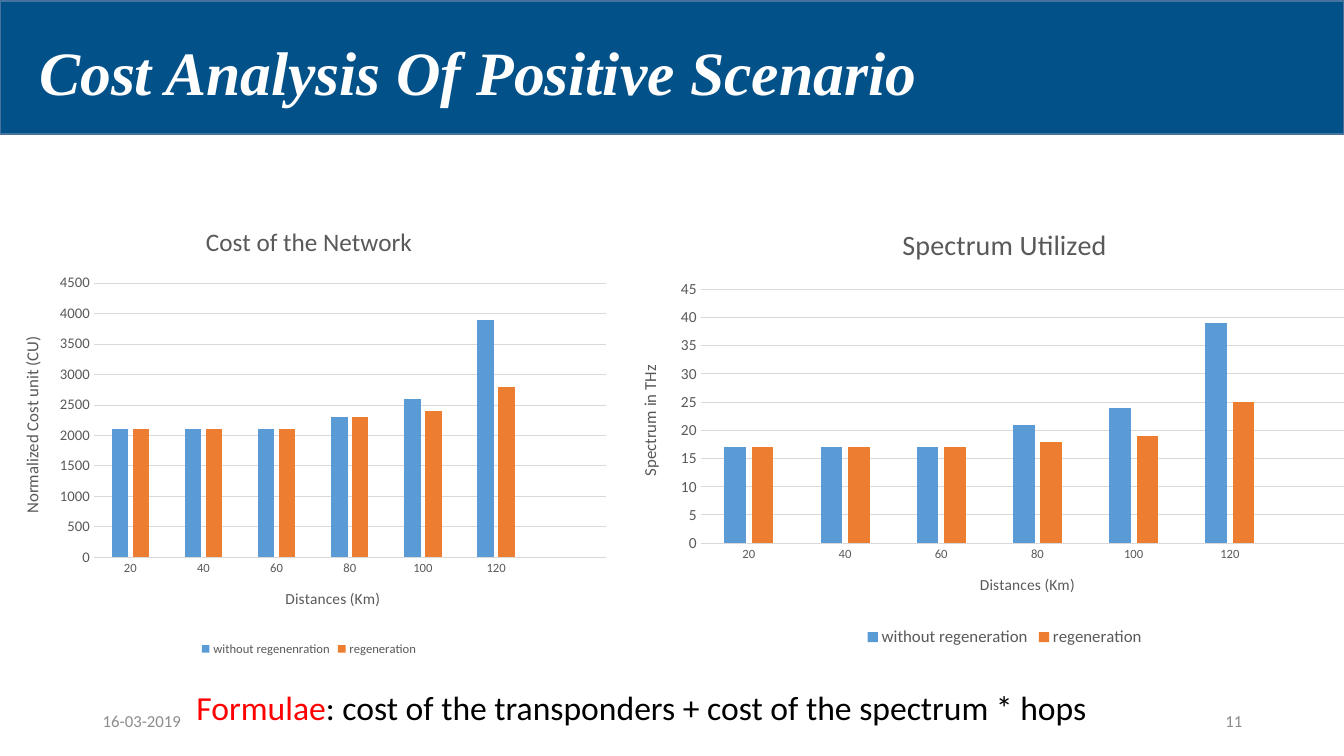
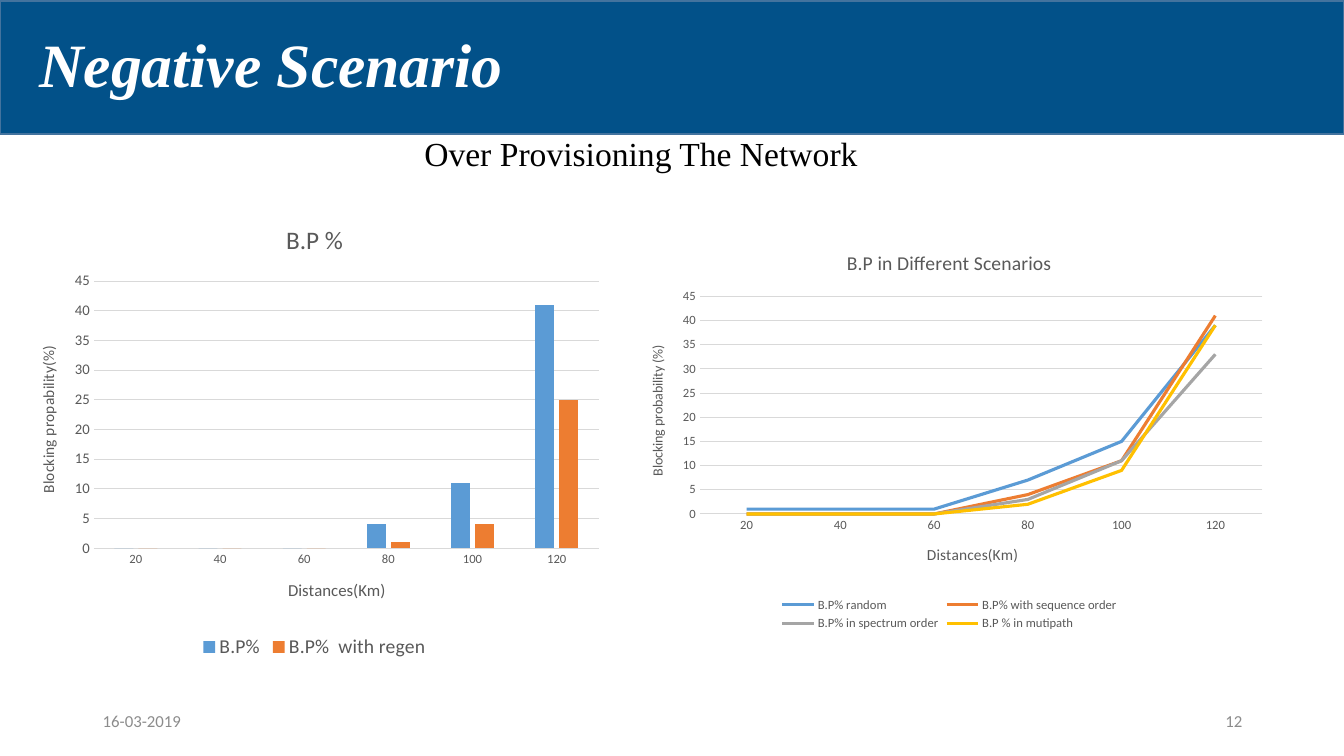
from dataclasses import dataclass

from lxml import etree
from pptx import Presentation
from pptx import util as u
from pptx.chart import data as chart_data
from pptx.dml import color
from pptx.enum import chart as ch
from pptx.enum import shapes, text
from pptx.oxml import ns


@dataclass(frozen=True)
class Theme:
    """Colours, fonts and type sizes shared by the slides."""
    band: str = "025189"
    band_edge: str = "43739E"
    white: str = "FFFFFF"
    black: str = "000000"
    red: str = "FF0000"
    footer: str = "8C8C8C"
    chart_text: str = "595959"
    grid: str = "D9D9D9"
    series: tuple = ("5B9BD5", "ED7D31", "A5A5A5", "FFC000")
    body_font: str = "Calibri"
    title_font: str = "Times New Roman"
    title_size: int = 44
    body_size: int = 24
    footer_size: int = 12
    tick_size: int = 9
    axis_size: int = 11


def rgb(value):
    return color.RGBColor.from_string(value)


class Deck:
    """Holds the style and the current slide."""

    def __init__(self, theme):
        self.theme = theme
        self.show = Presentation()
        self.show.slide_width = u.Inches(13.33)
        self.show.slide_height = u.Inches(7.5)
        self.slide = None

    def new_slide(self, title, title_box, date, number):
        t = self.theme
        self.slide = self.show.slides.add_slide(self.show.slide_layouts[6])
        self.band()
        self.label(title_box, [(title, t.white)], t.title_size,
                   font=t.title_font, strong=True, wrap=False)
        for left, words, align in ((0.92, date, text.PP_ALIGN.LEFT),
                                   (9.42, number, text.PP_ALIGN.RIGHT)):
            self.label((left, 6.95, 3, 0.4), [(words, t.footer)], t.footer_size,
                       align=align, anchor=text.MSO_ANCHOR.MIDDLE)

    def band(self):
        band = self.slide.shapes.add_shape(
            shapes.MSO_SHAPE.RECTANGLE, *map(u.Inches, (0, 0.01, 13.33, 1.32)))
        band.shadow.inherit = False
        band.fill.solid()
        band.fill.fore_color.rgb = rgb(self.theme.band)
        band.line.color.rgb = rgb(self.theme.band_edge)
        band.line.width = u.Pt(1)

    def label(self, box, runs, size, font=None, strong=False, wrap=True,
              align=text.PP_ALIGN.LEFT, anchor=text.MSO_ANCHOR.TOP):
        frame = self.slide.shapes.add_textbox(*map(u.Inches, box)).text_frame
        frame.word_wrap = wrap
        frame.vertical_anchor = anchor
        line = frame.paragraphs[0]
        line.alignment = align
        for words, ink in runs:
            run = line.add_run()
            run.text = words
            self.style(run.font, size, ink, font)
            run.font.bold = run.font.italic = strong

    def style(self, font, size, ink=None, name=None):
        font.name = name or self.theme.body_font
        font.size = u.Pt(size)
        font.bold = False
        font.color.rgb = rgb(ink or self.theme.chart_text)

    def heading(self, frame, words, size):
        run = frame.paragraphs[0].add_run()
        run.text = words
        self.style(run.font, size)

    def chart(self, kind, box, plot_box, title, x_title, y_title, y_ticks,
              legend_size, categories, series):
        """Titles and y_ticks are tuples: (words, size), (maximum, step, size)."""
        t = self.theme
        source = chart_data.CategoryChartData()
        source.categories = categories
        for name, values in series:
            source.add_series(name, values)
        chart = self.slide.shapes.add_chart(
            kind, *map(u.Inches, box), source).chart
        self.style(chart.font, 10, t.black)
        chart.has_title = True
        self.heading(chart.chart_title.text_frame, *title)
        chart.chart_title.include_in_layout = False

        # Legend
        chart.has_legend = True
        chart.legend.position = ch.XL_LEGEND_POSITION.BOTTOM
        chart.legend.include_in_layout = False
        self.style(chart.legend.font, legend_size)

        # Axes
        maximum, step, y_size = y_ticks
        across, up = chart.category_axis, chart.value_axis
        for axis, words, size in ((across, x_title, t.tick_size),
                                  (up, y_title, y_size)):
            axis.has_title = True
            self.heading(axis.axis_title.text_frame, *words)
            axis.major_tick_mark = axis.minor_tick_mark = ch.XL_TICK_MARK.NONE
            self.style(axis.tick_labels.font, size)
        turned = up.axis_title.text_frame._txBody.bodyPr
        turned.set("rot", "-5400000")
        turned.set("vert", "horz")
        up.minimum_scale, up.maximum_scale, up.major_unit = 0, maximum, step
        up.format.line.fill.background()
        up.has_major_gridlines = True
        for line in (across.format.line, up.major_gridlines.format.line):
            line.color.rgb = rgb(t.grid)
            line.width = u.Pt(0.75)

        # Series
        plot = chart.plots[0]
        plot.vary_by_categories = False
        lines = kind == ch.XL_CHART_TYPE.LINE
        if not lines:
            plot.gap_width, plot.overlap = 219, -27
        for item, ink in zip(plot.series, t.series):
            if lines:
                item.smooth = False
                item.format.line.color.rgb = rgb(ink)
                item.format.line.width = u.Pt(2.25)
            else:
                item.format.fill.solid()
                item.format.fill.fore_color.rgb = rgb(ink)
        self.place_plot(chart, box, plot_box)

    @staticmethod
    def place_plot(chart, box, plot_box):
        """Fix the inner plot area, given in slide inches."""
        area = chart._chartSpace.find(".//" + ns.qn("c:plotArea"))
        for old in area.findall(ns.qn("c:layout")):
            area.remove(old)
        layout = etree.Element(ns.qn("c:layout"))
        manual = etree.SubElement(layout, ns.qn("c:manualLayout"))
        left, top, width, height = box
        x, y, w, h = plot_box
        settings = {"layoutTarget": "inner", "xMode": "edge", "yMode": "edge",
                    "x": (x - left) / width, "y": (y - top) / height,
                    "w": w / width, "h": h / height}
        for tag, value in settings.items():
            etree.SubElement(manual, ns.qn("c:" + tag)).set("val", str(value))
        area.insert(0, layout)


def main():
    theme = Theme()
    deck = Deck(theme)
    date = "16-03-2019"
    columns, lines = (ch.XL_CHART_TYPE.COLUMN_CLUSTERED, ch.XL_CHART_TYPE.LINE)
    distances = ["20", "40", "60", "80", "100", "120"]
    with_gap = distances + [""]  # free slot at the right end

    # Positive scenario: cost and spectrum
    deck.new_slide("Cost Analysis Of Positive Scenario",
                   (0.29, 0.29, 8.99, 0.84), date, "11")
    deck.label((1.85, 6.77, 9.96, 0.5),
               [("Formulae", theme.red),
                (": cost of the transponders + cost of the spectrum * hops",
                 theme.black)], theme.body_size)
    deck.chart(columns, (0, 2.04, 6.13, 4.51), (0.93, 2.81, 5.08, 2.72),
               ("Cost of the Network", 18), ("Distances (Km)", theme.axis_size),
               ("Normalized Cost unit (CU)", 12), (4500, 500, 10.5), 9, with_gap,
               [("without regenenration",
                 (2100, 2100, 2100, 2300, 2600, 3900, None)),
                ("regeneration", (2100, 2100, 2100, 2300, 2400, 2800, None))])
    deck.chart(columns, (6.13, 2.04, 7.67, 4.42), (6.95, 2.87, 6.68, 2.52),
               ("Spectrum Utilized", 20), ("Distances (Km)", theme.axis_size),
               ("Spectrum in THz", 12), (45, 5, 11), 12, with_gap,
               [("without regeneration", (17, 17, 17, 21, 24, 39, None)),
                ("regeneration", (17, 17, 17, 18, 19, 25, None))])

    # Negative scenario: blocking probability
    deck.new_slide("Negative Scenario", (0.29, 0.21, 4.85, 0.84), date, "12")
    deck.label((4.11, 1.27, 4.54, 0.5),
               [("Over Provisioning The Network", theme.black)],
               theme.body_size, font=theme.title_font, wrap=False)
    sequence_order = (0, 0, 0, 4, 11, 41)
    deck.chart(columns, (0.17, 2.02, 5.9, 4.56), (0.93, 2.79, 5.01, 2.65),
               ("B.P %", 18), ("Distances(Km)", 12),
               ("Blocking propability(%)", theme.axis_size), (45, 5, 10.5), 14,
               distances,
               [("B.P%", sequence_order),
                ("B.P%  with regen", (0, 0, 0, 1, 4, 25))])
    deck.chart(lines, (6.18, 2.3, 6.47, 4), (6.94, 2.94, 5.58, 2.16),
               ("B.P in Different Scenarios", 14),
               ("Distances(Km)", theme.axis_size),
               ("Blocking probability (%)", 10), (45, 5, 9), 9, distances,
               [("B.P% random", (1, 1, 1, 7, 15, 39)),
                ("B.P% with sequence order", sequence_order),
                ("B.P% in spectrum order", (0, 0, 0, 3, 11, 33)),
                ("B.P % in mutipath", (0, 0, 0, 2, 9, 39))])

    deck.show.save("out.pptx")


if __name__ == "__main__":
    main()
